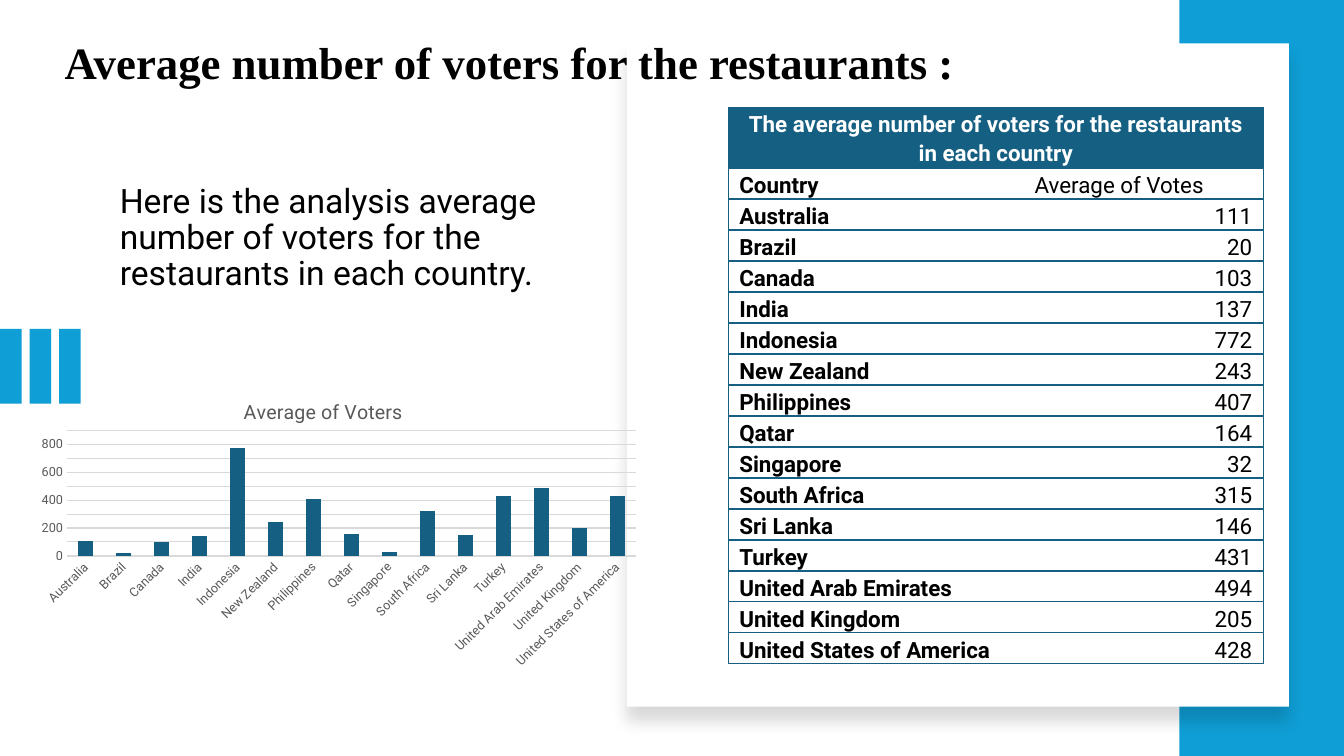
from dataclasses import dataclass

from lxml.etree import SubElement as Sub
from pptx import Presentation
from pptx.chart.data import CategoryChartData as Data
from pptx.dml.color import RGBColor as RGB
from pptx.enum.chart import XL_CHART_TYPE as Kind, XL_TICK_MARK as Tick
from pptx.enum.shapes import MSO_SHAPE as Shape
from pptx.enum.text import MSO_ANCHOR as Anchor, MSO_AUTO_SIZE as Auto, PP_ALIGN as Align
from pptx.oxml import parse_xml
from pptx.oxml.ns import nsdecls, qn
from pptx.util import Pt

# Content
TITLE = "Average number of voters for the restaurants :"
INTRO = "Here is the analysis average number of voters for the restaurants in each country."
CHART = "Average of Voters"
HEAD = "The average number of voters for the restaurants in each country"
COLS = ("Country", "Average of Votes")
VOTES = {
    "Australia": 111, "Brazil": 20, "Canada": 103, "India": 137, "Indonesia": 772,
    "New Zealand": 243, "Philippines": 407, "Qatar": 164, "Singapore": 32,
    "South Africa": 315, "Sri Lanka": 146, "Turkey": 431,
    "United Arab Emirates": 494, "United Kingdom": 205, "United States of America": 428,
}
BARS = (110, 20, 100, 140, 770, 240, 410, 160, 30, 320, 150, 430, 490, 200, 430)


@dataclass(frozen=True)
class Theme:
    sky: str = "0F9ED5"
    teal: str = "156082"
    white: str = "FFFFFF"
    black: str = "000000"
    gray: str = "595959"
    grid: str = "D9D9D9"
    sans: str = "Roboto"
    serif: str = "Times New Roman"
    title: int = 32
    intro: int = 24
    cell: int = 16
    chart: int = 14
    axis: int = 9


T = Theme()


def style(font, size, color, name=T.sans, bold=False):
    font.size, font.name, font.bold = Pt(size), name, bold
    font.color.rgb = RGB.from_string(color)


def paint(fill, color):
    fill.solid()
    fill.fore_color.rgb = RGB.from_string(color)


def block(owner, x, y, w, h, color):
    box = owner.add_shape(Shape.RECTANGLE, Pt(x), Pt(y), Pt(w), Pt(h))
    box.shadow.inherit = False
    paint(box.fill, color)
    box.line.fill.background()
    return box


def border(cell, sides):
    props = cell._tc.get_or_add_tcPr()
    for side in "LRTB":
        line = Sub(props, qn("a:ln" + side), w=str(Pt(1)))
        if side in sides:
            fill = Sub(line, qn("a:solidFill"))
            Sub(fill, qn("a:srgbClr"), val=T.teal)
        else:
            Sub(line, qn("a:noFill"))


def write(cell, text, color=T.black, bold=False, align=Align.LEFT,
          anchor=Anchor.BOTTOM, space=1.15):
    cell.margin_left = cell.margin_right = Pt(8)
    cell.margin_top = cell.margin_bottom = 0
    cell.vertical_anchor = anchor
    cell.text_frame.text = text
    para = cell.text_frame.paragraphs[0]
    para.alignment, para.line_spacing = align, space
    style(para.runs[0].font, T.cell, color, bold=bold)


def place(owner, **spots):
    """Give a chart part a manual layout, in shares of the chart."""
    for old in owner.findall(qn("c:layout")):
        owner.remove(old)
    layout = parse_xml(f"<c:layout {nsdecls('c')}><c:manualLayout/></c:layout>")
    for key, val in spots.items():
        Sub(layout[0], qn("c:" + key), val=str(val))
    return layout


deck = Presentation()
deck.slide_width, deck.slide_height = Pt(960), Pt(540)
slide = deck.slides.add_slide(deck.slide_layouts[5])
shapes = slide.shapes

# Intro text
intro = shapes.add_textbox(Pt(78.5), Pt(128), Pt(348), Pt(118)).text_frame
intro.word_wrap = True
intro.text = INTRO
intro.paragraphs[0].line_spacing = 0.9
style(intro.paragraphs[0].runs[0].font, T.intro, T.black)

# Three bars at the left edge
bars = shapes.add_group_shape()
for i in range(3):
    block(bars.shapes, i * 21.1, 235, 15.4, 53.3, T.sky)

# Side band and raised panel
block(shapes, 842.4, 0, 117.6, 540, T.sky)
panel = block(shapes, 447.8, 31, 473, 473.8, T.white)
glow = Sub(panel._element.spPr.find(qn("a:effectLst")), qn("a:outerShdw"),
           blurRad=str(Pt(11)), dist=str(Pt(10)), dir="5400000", rotWithShape="0")
tint = Sub(glow, qn("a:srgbClr"), val=T.black)
Sub(tint, qn("a:alpha"), val="15000")

# Table of votes
rows = [COLS, *VOTES.items()]
wide, tall, top = (211, 171.4), 22.14, 43
frame = shapes.add_table(len(rows) + 1, 2, Pt(520.1), Pt(77),
                         Pt(sum(wide)), Pt(top + tall * len(rows)))
table = frame.table
table.horz_banding = False
table._tbl.tblPr.find(qn("a:tableStyleId")).text = "{2D5ABB26-0587-4C30-8999-92F81FD0307C}"
for col, w in zip(table.columns, wide):
    col.width = Pt(w)
for i, row in enumerate(table.rows):
    row.height = Pt(tall if i else top)
    for cell, edge in zip(row.cells, "LR"):
        border(cell, edge + "TB" if i else "LRTB")
        if i:
            cell.fill.background()
        else:
            paint(cell.fill, T.teal)
table.cell(0, 0).merge(table.cell(0, 1))
write(table.cell(0, 0), HEAD, T.white, True, Align.CENTER, Anchor.MIDDLE, 1.12)
for i, (land, count) in enumerate(rows, 1):
    write(table.cell(i, 0), land, bold=True)
    write(table.cell(i, 1), str(count), align=Align.LEFT if i == 1 else Align.RIGHT)

# Column chart
data = Data()
data.categories = list(VOTES)
data.add_series(CHART, BARS)
chart = shapes.add_chart(Kind.COLUMN_CLUSTERED, Pt(21.3), Pt(268.8), Pt(442), Pt(214), data).chart
style(chart.font, 10, T.black)
chart.has_legend = False
chart.has_title = True
head = chart.chart_title.text_frame
head.text = CHART
style(head.paragraphs[0].runs[0].font, T.chart, T.gray)
name = chart.chart_title._element
name.find(qn("c:tx")).addnext(place(name, xMode="edge", yMode="edge", x=0.34, y=0.06))
area = chart._chartSpace.chart.plotArea
area.insert(0, place(area, layoutTarget="inner", xMode="edge", yMode="edge",
                     x=0.06, y=0.18, w=0.92, h=0.42))

plot = chart.plots[0]
plot.gap_width, plot.vary_by_categories = 150, False
paint(plot.series[0].format.fill, T.teal)
lands, scale = chart.category_axis, chart.value_axis
for axis in (lands, scale):
    axis.major_tick_mark = axis.minor_tick_mark = Tick.NONE
    axis.format.line.fill.background()
    style(axis.tick_labels.font, T.axis, T.gray)
lands._element.find(qn("c:txPr")).find(qn("a:bodyPr")).set("rot", "-2700000")
scale.minimum_scale, scale.maximum_scale, scale.major_unit = 0, 900, 100
scale.has_major_gridlines = True
grid = scale.major_gridlines.format.line
grid.width = Pt(0.75)
grid.color.rgb = RGB.from_string(T.grid)

# Title, in front of the panel
title = shapes.title
title.left, title.top, title.width, title.height = Pt(39), Pt(16), Pt(670), Pt(51)
text = title.text_frame
text.text = TITLE
text.word_wrap, text.auto_size = True, Auto.NONE
text.vertical_anchor = Anchor.BOTTOM
para = text.paragraphs[0]
para.alignment, para.line_spacing = Align.LEFT, 0.9
style(para.runs[0].font, T.title, T.black, T.serif, True)
shapes._spTree.append(title._element)

deck.save("out.pptx")
